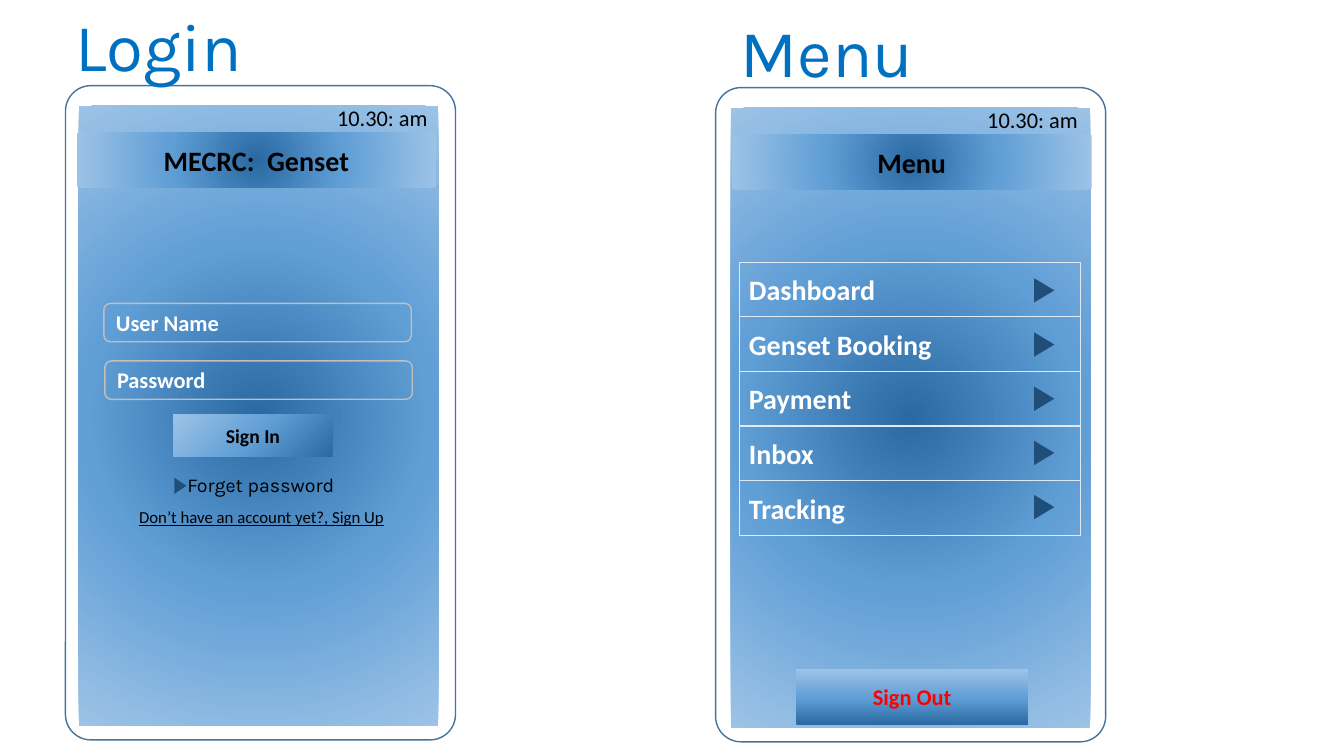
"""Build a slide with the login and menu screens of a phone application."""
from pptx import Presentation
from pptx.dml.color import RGBColor
from pptx.enum.shapes import MSO_SHAPE
from pptx.enum.text import MSO_ANCHOR, PP_ALIGN
from pptx.oxml import parse_xml
from pptx.oxml.ns import nsdecls, qn
from pptx.util import Pt

COLORS = {
    "deep": "2A69A2",
    "middle": "609ED6",
    "light": "9DC3E6",
    "frame": "43739E",
    "field": "BFBFBF",
    "row": "DEEBF7",
    "arrow": "1F4E79",
    "title": "0070C0",
    "black": "000000",
    "white": "FFFFFF",
    "red": "FF0000",
}
GRADIENT_STOPS = ((0, "deep"), (48, "middle"), (100, "light"))
MENU_ITEMS = ("Dashboard", "Genset Booking", "Payment", "Inbox", "Tracking")
ROW_TOP, ROW_PITCH = 187.2, 39.05
ARROW_TOP, ARROW_PITCH = 200.2, 38.7


def color(name):
    """Return the named colour."""
    return RGBColor.from_string(COLORS[name])


def add_box(slide, kind, left, top, width, height, line=None, line_width=1):
    """Add an unfilled shape with an optional outline."""
    shape = slide.shapes.add_shape(kind, Pt(left), Pt(top), Pt(width), Pt(height))
    shape.shadow.inherit = False
    shape.fill.background()
    if line:
        shape.line.color.rgb = color(line)
        shape.line.width = Pt(line_width)
    else:
        shape.line.fill.background()
    return shape


def apply_gradient(shape, angle=None):
    """Fill a shape with the blue gradient, radial unless an angle is given."""
    stops = "".join(
        f'<a:gs pos="{position * 1000}"><a:srgbClr val="{COLORS[name]}"/></a:gs>'
        for position, name in GRADIENT_STOPS
    )
    if angle is None:
        direction = (
            '<a:path path="circle"><a:fillToRect l="50000" t="50000" '
            'r="50000" b="50000"/></a:path>'
        )
    else:
        direction = f'<a:lin ang="{angle * 60000}" scaled="0"/>'
    gradient = parse_xml(
        f'<a:gradFill {nsdecls("a")} rotWithShape="1">'
        f"<a:gsLst>{stops}</a:gsLst>{direction}</a:gradFill>"
    )
    properties = shape._element.spPr
    properties.replace(properties.find(qn("a:noFill")), gradient)


def write(shape, text, size, ink, bold=False, centered=True, font="Calibri", underline=False):
    """Put one formatted line of text in a shape."""
    frame = shape.text_frame
    frame.text = text
    frame.word_wrap = True
    frame.vertical_anchor = MSO_ANCHOR.MIDDLE
    paragraph = frame.paragraphs[0]
    paragraph.alignment = PP_ALIGN.CENTER if centered else PP_ALIGN.LEFT
    for run in paragraph.runs:
        run.font.name = font
        run.font.size = Pt(size)
        run.font.bold = bold
        run.font.underline = underline
        run.font.color.rgb = color(ink)


def add_label(slide, left, top, width, height, text, size, ink, **style):
    """Add text in an invisible box."""
    box = add_box(slide, MSO_SHAPE.FLOWCHART_PROCESS, left, top, width, height)
    write(box, text, size, ink, **style)


def add_button(slide, left, top, width, height, text, size, ink, angle=None):
    """Add a gradient bar with centred bold text."""
    button = add_box(slide, MSO_SHAPE.FLOWCHART_PROCESS, left, top, width, height)
    apply_gradient(button, angle)
    write(button, text, size, ink, bold=True)


def add_arrow(slide, left, top, width, height):
    """Add a solid triangle that points right."""
    arrow = add_box(slide, MSO_SHAPE.FLOWCHART_MERGE, left, top, width, height)
    arrow.rotation = 270
    arrow.fill.solid()
    arrow.fill.fore_color.rgb = color("arrow")


def add_title(slide, left, top, text):
    """Add a large title above a phone."""
    title = slide.shapes.add_textbox(Pt(left), Pt(top), Pt(225.4), Pt(27.4))
    write(title, text, 48, "title", centered=False, font="Karla")


def add_phone(slide, left, top, screen_left, bar_left, heading):
    """Add a phone with its screen, clock and heading bar."""
    screen = add_box(slide, MSO_SHAPE.RECTANGLE, screen_left, top + 14.4, 257, 442.8)
    apply_gradient(screen)
    add_button(slide, bar_left, top + 33.8, 257, 38.9, heading, 20, "black")
    add_label(slide, left + 173, top + 12, 106.6, 20.9, "10.30: am", 16, "black")
    frame = add_box(slide, MSO_SHAPE.ROUNDED_RECTANGLE, left, top, 278.6, 467.3, "frame")
    frame.adjustments[0] = 0.065


def add_field(slide, left, top, label, label_width):
    """Add an outlined input field with its label."""
    add_box(slide, MSO_SHAPE.ROUNDED_RECTANGLE, left, top, 219.6, 27.4, "field")
    add_label(slide, left + 1.6, top - 5.8, label_width, 38.9, label, 16, "white",
              bold=True, centered=False)


def add_login(slide):
    """Add the login phone."""
    add_phone(slide, 46.8, 61.2, 56.2, 54.7, "MECRC:  Genset")
    add_field(slide, 74.2, 216.7, "User Name", 110.2)
    add_field(slide, 74.9, 257.8, "Password", 85)
    add_button(slide, 123.8, 295.9, 113.8, 30.2, "Sign In", 14, "black", 225)
    add_label(slide, 126.7, 326.9, 172.8, 38.9, "Forget password", 14, "black",
              centered=False, font="Karla")
    add_label(slide, 88.6, 349.9, 196.6, 38.9, "Don’t have an account yet?, Sign Up",
              12, "black", underline=True)
    add_arrow(slide, 123.1, 342.7, 11.5, 8.6)
    add_title(slide, 46.8, 18, "Login")


def add_menu(slide):
    """Add the menu phone."""
    add_phone(slide, 511.2, 62.6, 522, 522.7, "Menu")
    for index, item in enumerate(MENU_ITEMS):
        row = add_box(slide, MSO_SHAPE.FLOWCHART_PROCESS, 527.8,
                      ROW_TOP + index * ROW_PITCH, 244.1, 38.9, "row", 0.5)
        write(row, item, 20, "white", bold=True, centered=False)
        add_arrow(slide, 737.3, ARROW_TOP + index * ARROW_PITCH, 17.3, 14.4)
    add_button(slide, 568.8, 478.1, 165.6, 39.6, "Sign Out", 16, "red", 270)
    add_title(slide, 522, 22.3, "Menu")


def main():
    """Build and save the presentation."""
    presentation = Presentation()
    presentation.slide_width = Pt(960)
    presentation.slide_height = Pt(540)
    slide = presentation.slides.add_slide(presentation.slide_layouts[6])
    add_login(slide)
    add_menu(slide)
    presentation.save("out.pptx")


if __name__ == "__main__":
    main()
